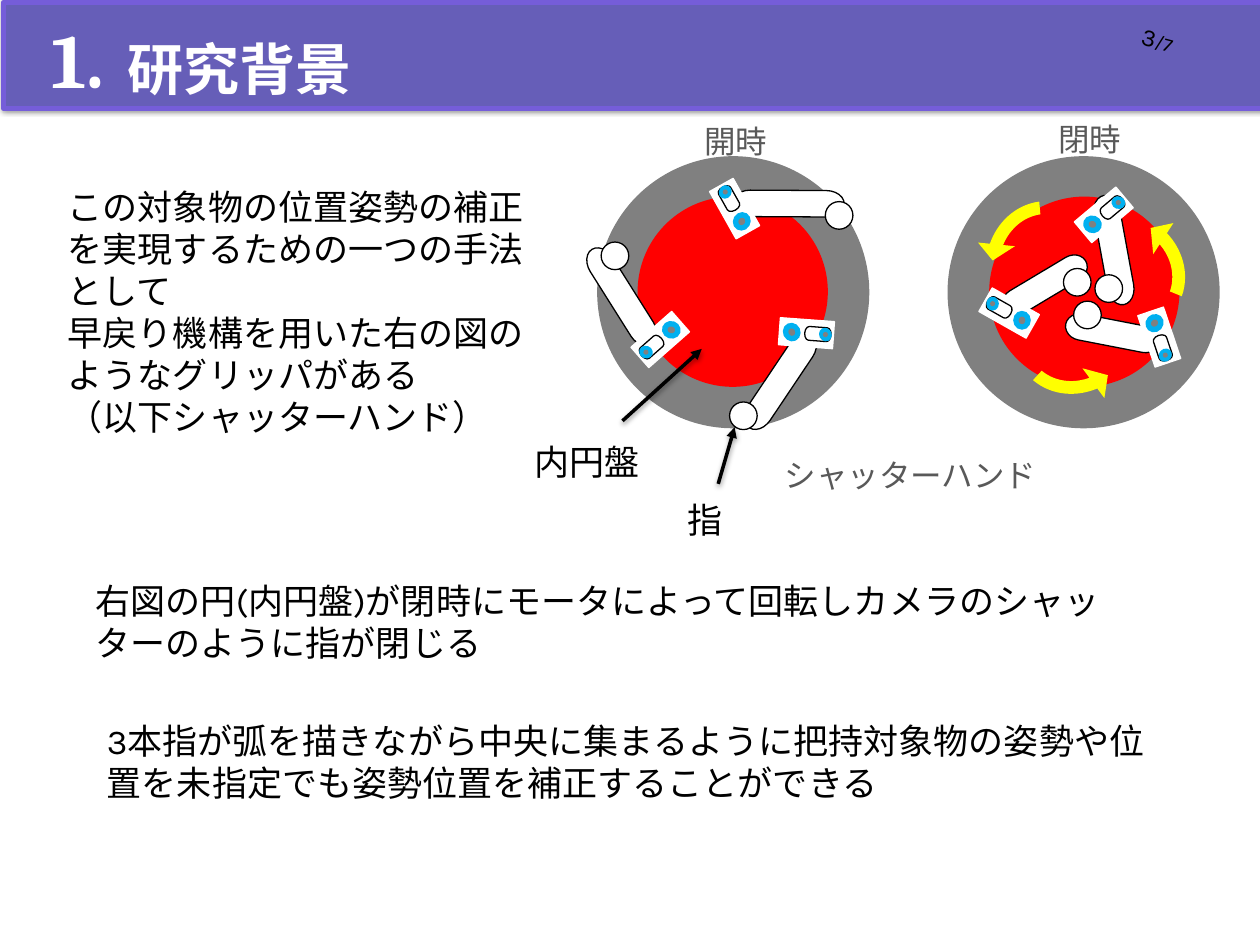
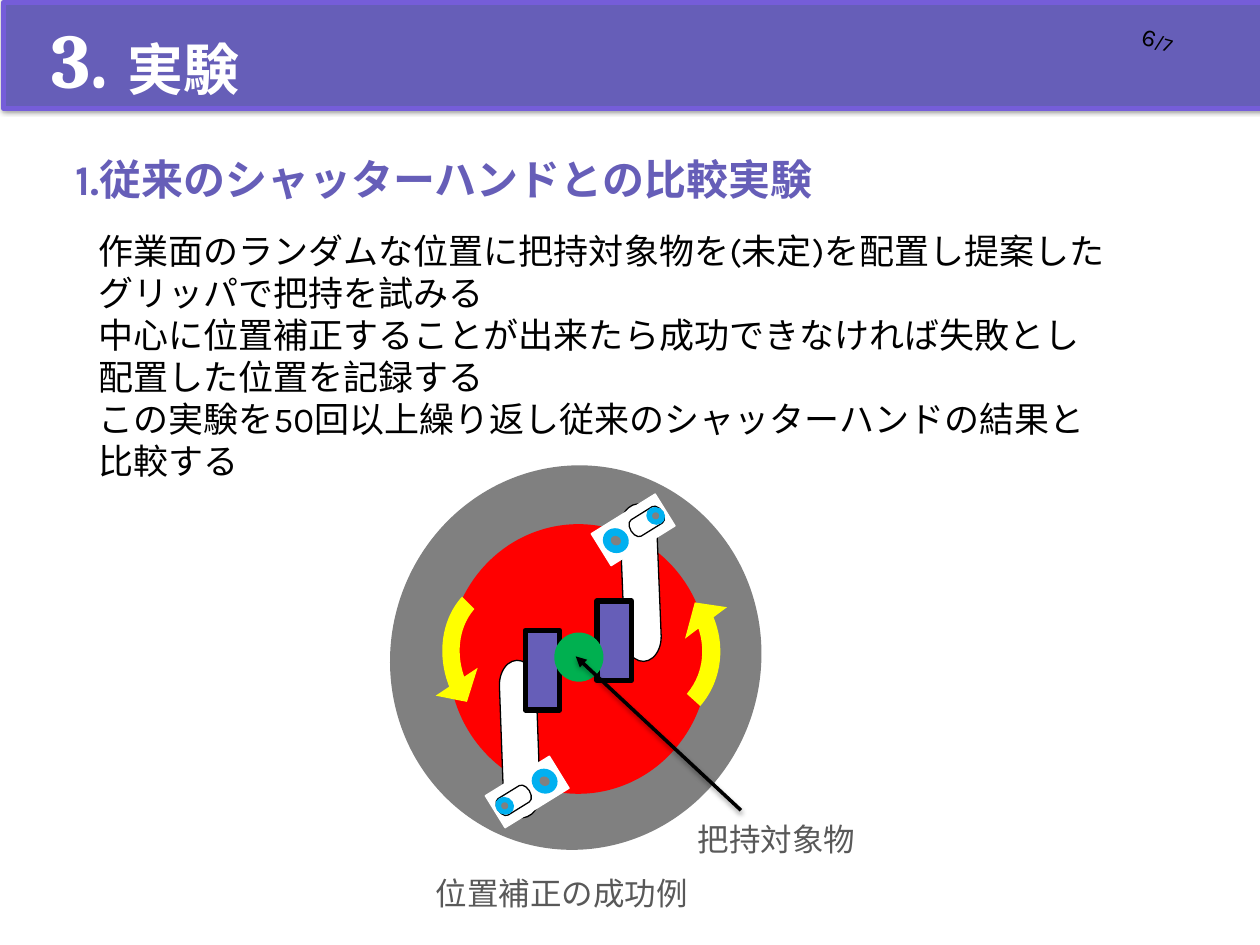
"""Build two slides about a shutter-style robot hand and its experiment."""
from math import cos, radians, sin

from lxml.etree import SubElement
from pptx import Presentation
from pptx.dml.color import RGBColor
from pptx.enum.shapes import MSO_CONNECTOR as Line, MSO_SHAPE as Kind
from pptx.enum.text import MSO_ANCHOR as Anchor, MSO_AUTO_SIZE as Fit, PP_ALIGN as Align
from pptx.oxml import parse_xml
from pptx.oxml.ns import nsdecls, qn
from pptx.util import Pt

BAND = RGBColor(0x66, 0x5E, 0xB8)
EDGE = RGBColor(0x75, 0x5D, 0xD9)
BLACK = RGBColor(0, 0, 0)
WHITE = RGBColor(0xFF, 0xFF, 0xFF)
GRAY = RGBColor(0x80, 0x80, 0x80)
LABEL = RGBColor(0x59, 0x59, 0x59)
RED = RGBColor(0xFF, 0, 0)
BLUE = RGBColor(0, 0xB0, 0xF0)
YELLOW = RGBColor(0xFF, 0xFF, 0)
GREEN = RGBColor(0, 0xB0, 0x50)
SHADE = (
    '<a:outerShdw %s blurRad="%d" dist="%d" dir="5400000" rotWithShape="0">'
    '<a:srgbClr val="000000"><a:alpha val="%d"/></a:srgbClr></a:outerShdw>'
)


def draw(slide, kind, mid, size, fill=None, edge=None, width=0.75, turn=0):
    """Add a preset shape by its centre."""
    (x, y), (w, h) = mid, size
    shape = slide.shapes.add_shape(kind, Pt(x - w / 2), Pt(y - h / 2), Pt(w), Pt(h))
    shape.rotation = turn
    shape.shadow.inherit = False
    if fill is None:
        shape.fill.background()
    else:
        shape.fill.solid()
        shape.fill.fore_color.rgb = fill
    if edge is None:
        shape.line.fill.background()
    else:
        shape.line.color.rgb = edge
        shape.line.width = Pt(width)
    return shape


def write(slide, area, text, size, color, face="Karla", bold=False):
    """Add a wrapping text box."""
    box = slide.shapes.add_textbox(*map(Pt, area))
    frame = box.text_frame
    frame.word_wrap = True
    frame.auto_size = Fit.SHAPE_TO_FIT_TEXT
    frame.text = text
    for para in frame.paragraphs:
        for run in para.runs:
            run.font.name = face
            run.font.size = Pt(size)
            run.font.bold = bold
            run.font.color.rgb = color
    return box


prs = Presentation()
prs.slide_width, prs.slide_height = Pt(720), Pt(540)
slides = []

for num, head, page in [("1.", "研究背景", "3"), ("3.", "実験", "6")]:
    slide = prs.slides.add_slide(prs.slide_layouts[5])
    slides.append(slide)
    title = slide.shapes.title
    band = draw(slide, Kind.RECTANGLE, (362, 31.7), (720, 60.5), BAND, EDGE, 3)
    glow = parse_xml(SHADE % (nsdecls("a"), Pt(3), 0, 40000))
    band.element.spPr.find(qn("a:effectLst")).append(glow)
    title.element.addprevious(band.element)

    title.left, title.top, title.width, title.height = map(Pt, (65.5, -5.8, 648, 90))
    title.text_frame.text = head
    title.text_frame.auto_size = Fit.NONE
    title.text_frame.vertical_anchor = Anchor.MIDDLE
    para = title.text_frame.paragraphs[0]
    para.alignment = Align.LEFT
    font = para.runs[0].font
    font.name, font.size, font.bold = "Karla", Pt(32), True
    font.color.rgb = WHITE
    write(slide, (22.3, 2.9, 54, 60.5), num, 44, WHITE, "Cambria", True)

    tag = write(slide, (634.3, 7.9, 54.7, 28.8), page, 14, BLACK)
    tag.rotation = 15
    tag.text_frame.auto_size = Fit.NONE
    tag.text_frame.vertical_anchor = Anchor.MIDDLE
    para = tag.text_frame.paragraphs[0]
    para.alignment = Align.CENTER
    run = para.add_run()
    run.text = "/7"
    run.font.name, run.font.size = "Karla", Pt(11)
    run.font.color.rgb = BLACK

back, test = slides

texts = [
    (back, (31.7, 102.2, 275.8, 152.6), 20, BLACK,
     "この対象物の位置姿勢の補正を実現するための一つの手法として\n"
     "早戻り機構を用いた右の図のようなグリッパがある\n（以下シャッターハンド）"),
    (back, (441.4, 257, 159.8, 28.8), 18, LABEL, "シャッターハンド"),
    (back, (395.3, 66.2, 50.4, 28.8), 18, LABEL, "開時"),
    (back, (597.6, 64.8, 50.4, 28.8), 18, LABEL, "閉時"),
    (back, (298.1, 248.4, 77, 31.7), 20, BLACK, "内円盤"),
    (back, (385.9, 281.5, 38.2, 31.7), 20, BLACK, "指"),
    (back, (47.5, 327.6, 627.1, 55.4), 20, BLACK,
     "右図の円(内円盤)が閉時にモータによって回転しカメラのシャッターのように指が閉じる"),
    (back, (54, 407.5, 627.1, 55.4), 20, BLACK,
     "3本指が弧を描きながら中央に集まるように把持対象物の姿勢や位置を"
     "未指定でも姿勢位置を補正することができる"),
    (test, (49, 127.4, 591.1, 152.6), 20, BLACK,
     "作業面のランダムな位置に把持対象物を(未定)を配置し提案したグリッパで把持を試みる\n"
     "中心に位置補正することが出来たら成功できなければ失敗とし\n配置した位置を記録する\n"
     "この実験を50回以上繰り返し従来のシャッターハンドの結果と比較する"),
    (test, (241.9, 496.1, 182.9, 28.8), 18, LABEL, "位置補正の成功例"),
    (test, (391.7, 465.1, 148.3, 28.8), 18, LABEL, "把持対象物"),
]
for slide, area, size, color, text in texts:
    write(slide, area, text, size, color)
topic = write(test, (36, 84.2, 464.4, 36), "1.従来のシャッターハンドとの比較実験",
              24, BAND, bold=True)
topic.text_frame.word_wrap = False

discs = [
    (back, (419, 167), (155.5, 155.5), (418.7, 166.7), (108.7, 108.7)),
    (back, (619.2, 167), (155.5, 155.5), (619.6, 166.7), (108.7, 108.7)),
    (test, (329, 375.8), (211.7, 220.3), (330.5, 376.6), (148.3, 154.1)),
]
for slide, outer, span, inner, core in discs:
    draw(slide, Kind.OVAL, outer, span, GRAY, turn=15)
    draw(slide, Kind.OVAL, inner, core, RED)

fingers = [
    (back, 1, (446, 217.8), 64.1, 123.8, (424.8, 237.6), (460.8, 190.4), 94.2),
    (back, 1, (450.4, 116.3), 64.1, 0.3, (479.5, 123.1), (419.8, 119.2), 330.7),
    (back, 1, (355.3, 169.6), 64.1, 237.8, (351.4, 146.2), (377.3, 194), 228.7),
    (back, 1, (635.8, 190.4), 54.7, 191, (621.4, 180), (662.4, 192.6), 161.4),
    (back, 1, (636.5, 142.9), 63.4, 79.6, (633.6, 164.9), (630.7, 122.8), 50),
    (back, 1, (596.9, 163.1), 54.7, 329.1, (615.6, 161.3), (576.7, 178.9), 299.5),
    (test, 1.39, (366.1, 333), 90, 87.7, None, (361.8, 302.8), 58.1),
    (test, 1.39, (297, 422.3), 90, 267.9, None, (301.3, 452.5), 238.3),
]
parts = [
    (Kind.RECTANGLE, 0, 15.5, 31, WHITE, WHITE, 0),
    (Kind.OVAL, 8.4, 10.8, 10.1, BLUE, None, -30),
    (Kind.OVAL, 8.4, 4.3, 3.8, GRAY, None, -30),
    (Kind.FLOWCHART_TERMINATOR, -6.6, 15.1, 7.9, None, BLACK, -90),
    (Kind.OVAL, -10.9, 7.9, 7.2, BLUE, None, -30),
    (Kind.OVAL, -10.9, 2.9, 2.9, GRAY, None, -30),
]
for slide, scale, arm, reach, tilt, ball, plate, turn in fingers:
    draw(slide, Kind.FLOWCHART_TERMINATOR, arm, (reach, 15.1 * scale),
         WHITE, BLACK, turn=tilt)
    if ball:
        draw(slide, Kind.OVAL, ball, (15.8, 15.8), WHITE, BLACK)
    for kind, shift, wide, high, fill, edge, twist in parts:
        mid = (plate[0] - shift * scale * sin(radians(turn)),
               plate[1] + shift * scale * cos(radians(turn)))
        draw(slide, kind, mid, (wide * scale, high * scale), fill, edge,
             turn=(turn + twist) % 360)

swirls = [
    (back, (597.2, 151.9), (81.4, 87.8), 5.4),
    (back, (615.2, 190.1), (81.4, 87.8), 233.3),
    (back, (641.2, 155.5), (81.4, 87.8), 122.6),
    (test, (301, 378.4), (110.9, 124.6), 326),
    (test, (362.9, 369.7), (115.2, 120.2), 142.8),
]
for slide, mid, size, turn in swirls:
    swirl = draw(slide, Kind.CIRCULAR_ARROW, mid, size, YELLOW, turn=turn)
    for i, value in enumerate((0.09, 10.79, 204.98, 168.41, 0.13)):
        swirl.adjustments[i] = value
    swirl.element.spPr.find(qn("a:xfrm")).set("flipH", "1")

for mid in [(351, 366.1), (310, 383)]:
    draw(test, Kind.RECTANGLE, mid, (19.8, 45.4), BAND, BLACK, 3)
draw(test, Kind.OVAL, (330.8, 375.5), (28.1, 28.1), GREEN)

arrows = [
    (back, (355.7, 240.5, 401, 199.4)),
    (back, (410.4, 276.5, 419.8, 244.1)),
    (test, (423.4, 463, 329, 375.1)),
]
for slide, ends in arrows:
    arrow = slide.shapes.add_connector(Line.STRAIGHT, *map(Pt, ends))
    arrow.line.color.rgb = BLACK
    arrow.line.width = Pt(2)
    props = arrow.element.spPr
    SubElement(props.find(qn("a:ln")), qn("a:tailEnd"), type="triangle")
    shade = parse_xml(SHADE % (nsdecls("a"), Pt(3.1), Pt(1.6), 38000))
    SubElement(props, qn("a:effectLst")).append(shade)

prs.save("out.pptx")
